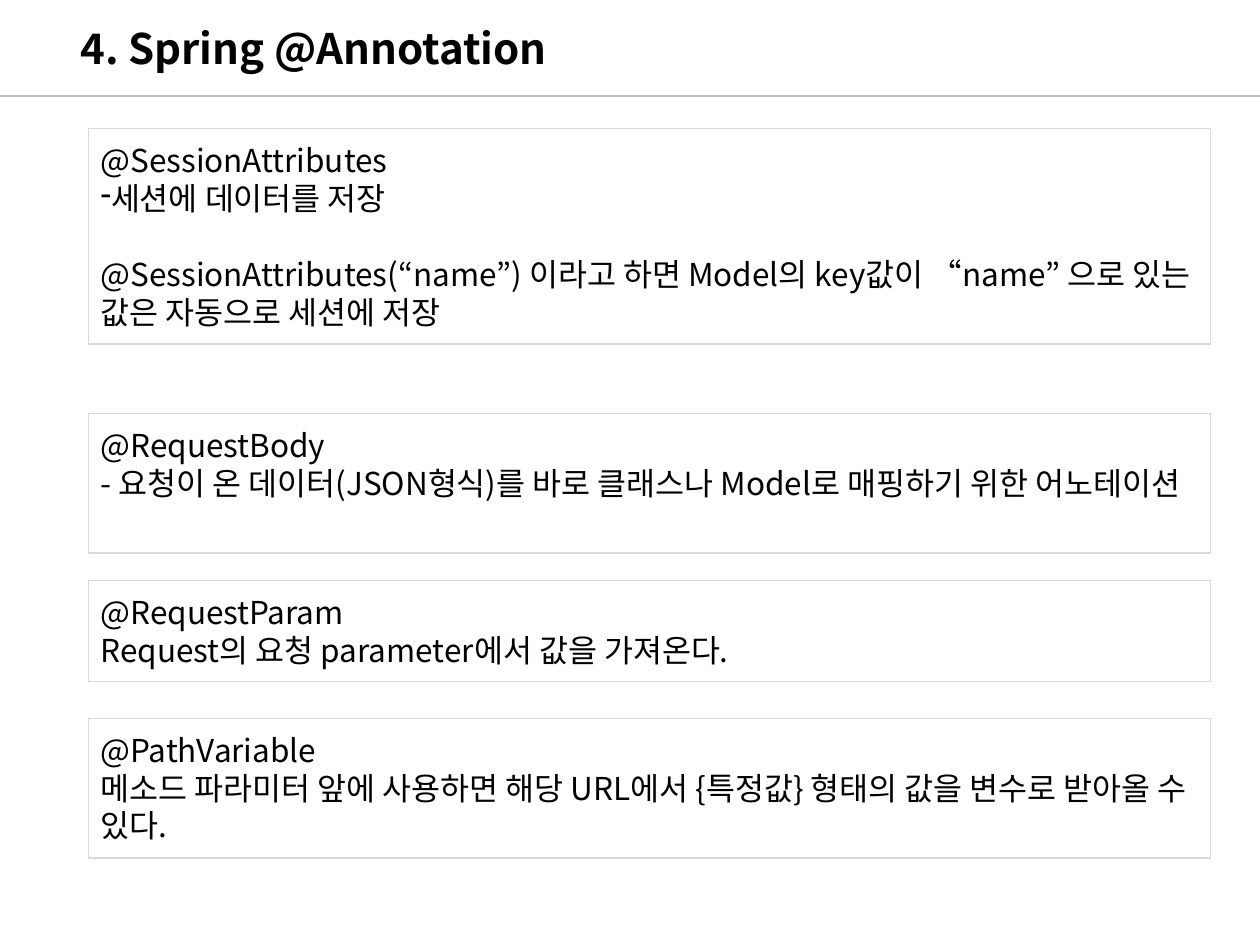
from dataclasses import dataclass

from lxml import etree
from pptx import Presentation
from pptx.dml.color import RGBColor
from pptx.enum.shapes import MSO_CONNECTOR, MSO_SHAPE
from pptx.enum.text import MSO_ANCHOR, PP_ALIGN
from pptx.oxml.ns import qn
from pptx.util import Inches, Pt

STRAIGHT = MSO_CONNECTOR.STRAIGHT
RECTANGLE = MSO_SHAPE.RECTANGLE
TOP = MSO_ANCHOR.TOP
LEFT = PP_ALIGN.LEFT


@dataclass(frozen=True)
class Theme:
    font: str = "Noto Sans CJK KR"
    text: RGBColor = RGBColor(0x00, 0x00, 0x00)
    rule: RGBColor = RGBColor(0xBF, 0xBF, 0xBF)
    border: RGBColor = RGBColor(0xD9, 0xD9, 0xD9)
    title_size: int = 24
    body_size: int = 18
    body_line: float = 21.7


@dataclass(frozen=True)
class Line:
    text: str
    bullet: str = ""
    gap_before: bool = False


@dataclass(frozen=True)
class Card:
    top: float
    height: float
    lines: tuple[Line, ...]


THEME = Theme()
CARD_LEFT, CARD_WIDTH, CARD_PADDING = 0.7, 8.91, 0.1
CARDS = (
    Card(1.02, 1.71, (
        Line("@SessionAttributes"),
        Line("세션에 데이터를 저장", bullet="-"),
        Line("@SessionAttributes(“name”) 이라고 하면 Model의 key값이 “name” 으로 "
             "있는 값은 자동으로 세션에 저장", gap_before=True),
    )),
    Card(3.28, 1.11, (
        Line("@RequestBody"),
        Line("- 요청이 온 데이터(JSON형식)를 바로 클래스나 Model로 매핑하기 위한 어노테이션"),
    )),
    Card(4.61, 0.8, (
        Line("@RequestParam"),
        Line("Request의 요청 parameter에서 값을 가져온다."),
    )),
    Card(5.7, 1.11, (
        Line("@PathVariable"),
        Line("메소드 파라미터 앞에 사용하면 해당 URL에서 {특정값} 형태의 값을 변수로 "
             "받아올 수 있다."),
    )),
)


def style_paragraph(paragraph, size: int, bold: bool = False) -> None:
    """Set the font for both Latin and Korean letters."""
    paragraph.alignment = LEFT
    font = paragraph.font
    font.name = THEME.font
    font.size = Pt(size)
    font.bold = bold
    font.color.rgb = THEME.text
    defaults = paragraph._p.pPr.find(qn("a:defRPr"))
    etree.SubElement(defaults, qn("a:ea"), typeface=THEME.font)


def add_bullet(paragraph, character: str) -> None:
    properties = paragraph._p.get_or_add_pPr()
    etree.SubElement(properties, qn("a:buChar"), char=character)


def add_title(slide, text: str) -> None:
    box = slide.shapes.add_textbox(Inches(0.04), Inches(0.13), Inches(8.43), Inches(0.5))
    box.text_frame.word_wrap = True
    paragraph = box.text_frame.paragraphs[0]
    paragraph.text = text
    paragraph._p.get_or_add_pPr().set("marL", str(Inches(0.5)))
    style_paragraph(paragraph, THEME.title_size, bold=True)


def add_rule(slide, top: float, width: float) -> None:
    rule = slide.shapes.add_connector(STRAIGHT, 0, Inches(top), Inches(width), Inches(top))
    rule.line.color.rgb = THEME.rule
    rule.line.width = Pt(1)
    etree.SubElement(rule._element.spPr, qn("a:effectLst"))


def add_card(slide, card: Card) -> None:
    shape = slide.shapes.add_shape(
        RECTANGLE, Inches(CARD_LEFT), Inches(card.top), Inches(CARD_WIDTH), Inches(card.height))
    shape.shadow.inherit = False
    shape.fill.background()
    shape.line.color.rgb = THEME.border
    shape.line.width = Pt(0.75)

    frame = shape.text_frame
    frame.word_wrap = True
    frame.vertical_anchor = TOP
    frame.margin_left = frame.margin_right = Inches(CARD_PADDING)
    frame.margin_top = frame.margin_bottom = Inches(CARD_PADDING)
    for index, line in enumerate(card.lines):
        paragraph = frame.add_paragraph() if index else frame.paragraphs[0]
        paragraph.text = line.text
        if line.gap_before:
            paragraph.space_before = Pt(THEME.body_line)
        if line.bullet:
            add_bullet(paragraph, line.bullet)
        style_paragraph(paragraph, THEME.body_size)


def main() -> None:
    presentation = Presentation()
    presentation.slide_width = Inches(10)
    presentation.slide_height = Inches(7.5)
    slide = presentation.slides.add_slide(presentation.slide_layouts[6])
    add_title(slide, "4. Spring @Annotation")
    add_rule(slide, top=0.76, width=10)
    for card in CARDS:
        add_card(slide, card)
    presentation.save("out.pptx")


if __name__ == "__main__":
    main()
